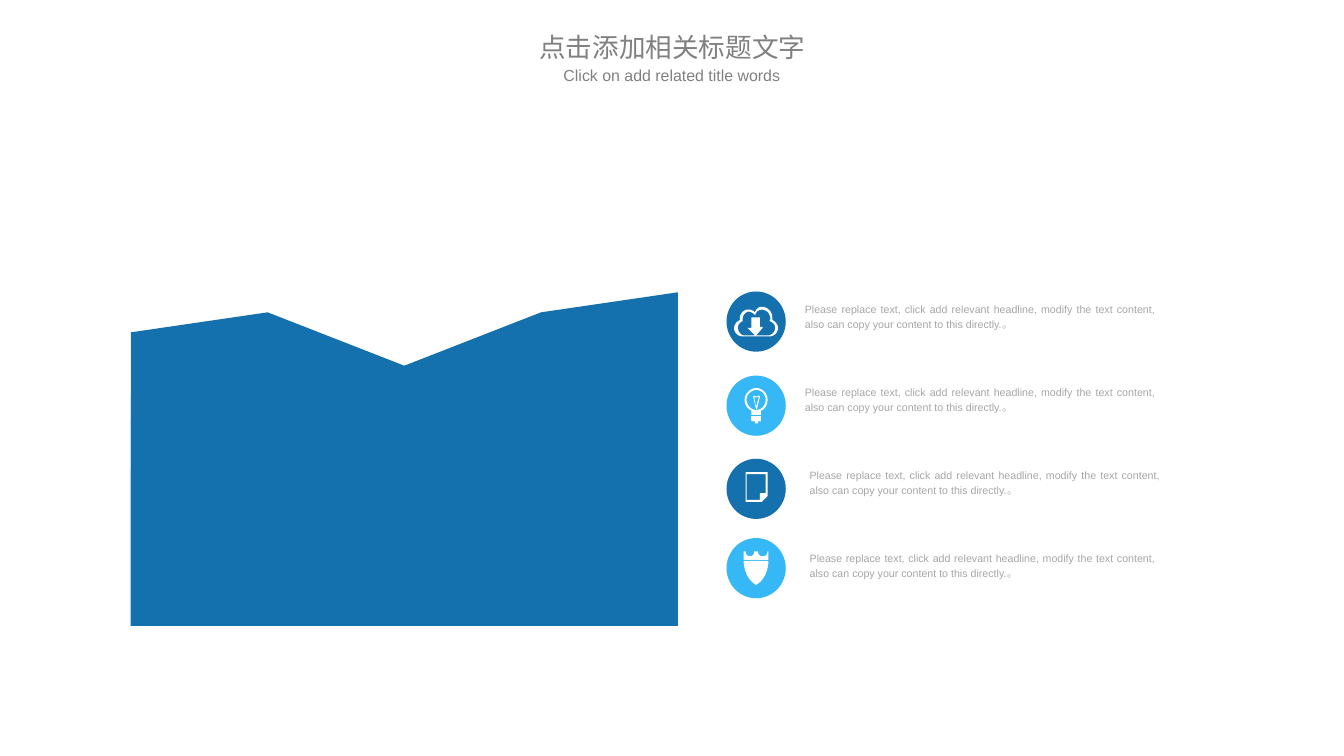
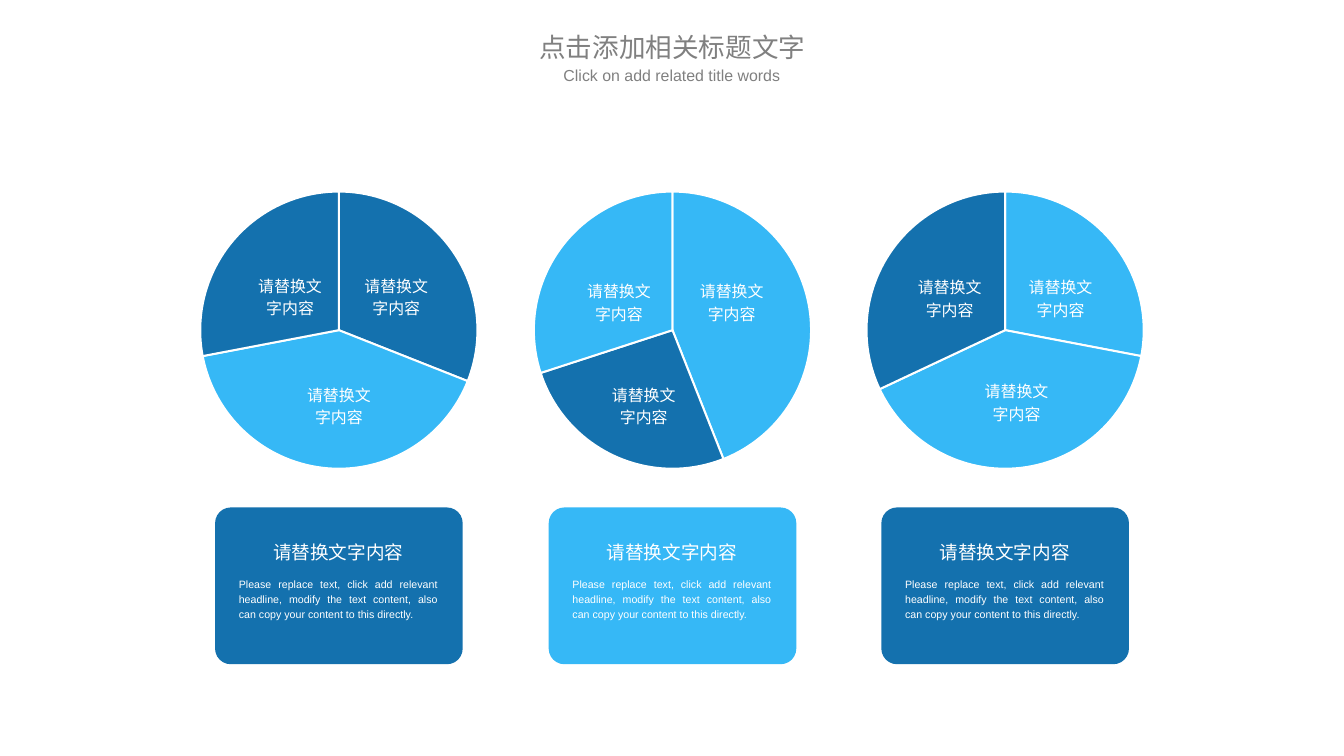
from lxml import etree
from pptx import Presentation
from pptx.chart.data import CategoryChartData
from pptx.dml.color import RGBColor
from pptx.enum.chart import XL_CHART_TYPE
from pptx.enum.shapes import MSO_SHAPE
from pptx.enum.text import MSO_ANCHOR, MSO_AUTO_SIZE, PP_ALIGN
from pptx.oxml.ns import qn
from pptx.util import Pt

PX = 9144
SLIDE_SIZE = (1406, 791)
COLORS = {"dark": "1471AE", "light": "36B8F6", "white": "FFFFFF",
          "title": "808080", "body": "A6A6A6", "black": "000000"}
LATIN, CHINESE = "Arial", "Noto Sans CJK SC"

TITLE = "点击添加相关标题文字"
SUBTITLE = "Click on add related title words"
SENTENCE = ("Please replace text, click add relevant headline, modify the text "
            "content, also can copy your content to this directly.")
LABEL = "请替换文字内容"

AREA_BOX = (125, 263, 596, 400)
AREA_SERIES = [
    ("Series 1", [88, 94, 78, 94, 100], "dark"),
    ("Series 2", [69, 56, 62, 66, 88], "light"),
    ("Series 3", [47, 47, 47, 59, 56], "dark"),
    ("Series 4", [62, 38, 38, 28, 34], "light"),
]
FEATURES = [
    (305, "dark", (837, 311, 377, 38)),
    (393, "light", (837, 398, 377, 38)),
    (480, "dark", (842, 485, 377, 38)),
    (563, "light", (842, 572, 372, 38)),
]

CLOUD = [
    [(808, 335), (808, 334, 808, 333, 808, 332), (808, 326, 803, 321, 797, 321),
     (791, 321, 790, 327, 790, 327), (790, 327, 787, 323, 781, 324),
     (777, 325, 774, 329, 774, 333), (774, 335), (771, 336, 768, 340, 768, 343),
     (768, 348, 772, 352, 777, 352), (805, 352), (810, 352, 814, 348, 814, 343),
     (814, 340, 811, 336, 808, 335)],
    [(803, 351), (791, 351), (798, 343), (798, 342), (795, 342), (795, 332),
     (786, 332), (786, 343), (782, 343), (790, 351), (779, 351),
     (775, 351, 772, 347, 772, 343), (772, 340, 774, 337, 777, 336), (777, 334),
     (777, 330, 779, 327, 783, 326), (787, 326, 790, 330, 790, 330),
     (790, 330, 791, 324, 797, 324), (802, 324, 806, 328, 806, 334), (805, 336),
     (809, 337, 811, 340, 811, 343), (811, 347, 808, 351, 803, 351)],
]
PAGE = [
    [(780, 494), (780, 525), (797, 525), (803, 519), (803, 494)],
    [(781, 523), (781, 496), (801, 496), (801, 516), (795, 516), (795, 523)],
]
BULB_GLASS = [
    [(803, 418), (803, 412, 798, 406, 791, 406), (785, 406, 779, 412, 779, 418),
     (779, 424, 782, 428, 787, 430), (786, 430), (786, 434), (796, 434),
     (796, 430), (800, 428, 803, 424, 803, 418)],
    [(791, 429), (786, 429, 781, 424, 781, 418), (781, 413, 786, 408, 791, 408),
     (797, 408, 801, 413, 801, 418), (801, 424, 797, 429, 791, 429)],
]
BULB_THREAD = [[(786, 435), (796, 435), (796, 439), (786, 439)]]
BULB_BASE = [[(786, 441), (790, 441), (790, 443), (793, 443), (793, 441),
              (796, 441), (796, 439), (786, 439)]]
BULB_FILAMENT = [
    [(795, 415), (794, 414), (791, 415), (789, 414), (788, 415), (791, 428), (792, 428)],
    [(791, 426), (789, 415), (791, 416), (794, 415)],
]
SHIELD_BODY = [[(791, 612), (804, 605, 804, 587, 804, 587), (778, 587),
                (778, 587, 778, 605, 791, 612)]]
SHIELD_CROWN = [[(803, 577), (803, 580, 801, 582, 798, 582),
                 (795, 582, 793, 580, 793, 577), (789, 577),
                 (789, 580, 787, 582, 785, 582), (782, 582, 780, 580, 780, 577),
                 (778, 577), (778, 586), (804, 586), (804, 577)]]
ICONS = [CLOUD, PAGE, BULB_GLASS, BULB_THREAD, BULB_BASE, BULB_FILAMENT,
         SHIELD_BODY, SHIELD_CROWN]

PIES = [
    {"left": 170, "values": [31, 41, 28, None], "card": "dark",
     "slices": ["dark", "light", "dark", "light"],
     "labels": [(256, 280), (367, 280), (307, 394)], "label_width": 95},
    {"left": 519, "values": [44, 26, 30, None], "card": "light",
     "slices": ["light", "dark", "light", "light"],
     "labels": [(717, 286), (599, 286), (625, 394)], "label_width": 97},
    {"left": 867, "values": [28, 40, 32, None], "card": "dark",
     "slices": ["light", "light", "dark", "light"],
     "labels": [(946, 282), (1062, 282), (1016, 390)], "label_width": 95},
]


def rgb(name):
    return RGBColor.from_string(COLORS[name])


def scaled(values):
    return [round(value * PX) for value in values]


def apply(target, formats):
    for name, value in formats.items():
        setattr(target, name, value)


def fill_shape(shape, color):
    shape.shadow.inherit = False
    shape.fill.solid()
    shape.fill.fore_color.rgb = rgb(color)
    shape.line.fill.background()


def write(shape, text, size, color, align, insets=(10, 5), font=LATIN,
          frame_formats=None, paragraph_formats=None):
    frame = shape.text_frame
    frame.text = text
    across, down = scaled(insets)
    apply(frame, {"margin_left": across, "margin_right": across,
                  "margin_top": down, "margin_bottom": down, "word_wrap": True,
                  "auto_size": MSO_AUTO_SIZE.SHAPE_TO_FIT_TEXT,
                  **(frame_formats or {})})
    paragraph = frame.paragraphs[0]
    apply(paragraph, {"alignment": align, "line_spacing": 1.2, "space_before": Pt(0),
                      **(paragraph_formats or {})})
    run = paragraph.runs[0]
    apply(run.font, {"size": Pt(size), "name": font, "bold": False})
    run.font.color.rgb = rgb(color)
    east_asian = etree.SubElement(run.font._element, qn("a:ea"))
    east_asian.set("typeface", font)


def add_text(slide, box, *details, **options):
    write(slide.shapes.add_textbox(*scaled(box)), *details, **options)


def add_titled_slide(presentation):
    slide = presentation.slides.add_slide(presentation.slide_layouts[0])
    headings = [
        (slide.shapes.title, (536, 29, 335, 41), TITLE, 20, CHINESE, MSO_ANCHOR.MIDDLE),
        (slide.placeholders[1], (576, 64, 254, 41), SUBTITLE, 12, LATIN, MSO_ANCHOR.TOP),
    ]
    for shape, box, text, size, font, anchor in headings:
        apply(shape, dict(zip(("left", "top", "width", "height"), scaled(box))))
        write(shape, text, size, "title", PP_ALIGN.CENTER, (11, 5), font,
              {"auto_size": MSO_AUTO_SIZE.NONE, "vertical_anchor": anchor},
              {"line_spacing": 1.0, "space_after": Pt(6)})
    return slide


def flatten(contour, steps=8):
    points = [contour[0]]
    for segment in contour[1:]:
        if len(segment) == 2:
            points.append(segment)
            continue
        corners = [points[-1], segment[:2], segment[2:4], segment[4:]]
        for step in range(1, steps + 1):
            t = step / steps
            weights = ((1 - t) ** 3, 3 * t * (1 - t) ** 2, 3 * t * t * (1 - t), t ** 3)
            points.append(tuple(sum(weight * corner[axis] for weight, corner
                                    in zip(weights, corners)) for axis in (0, 1)))
    return [scaled(point) for point in points]


def add_icon(slide, contours):
    first, *others = [flatten(contour) for contour in contours]
    builder = slide.shapes.build_freeform(*first[0], scale=1.0)
    builder.add_line_segments(first[1:], close=True)
    for points in others:
        builder.move_to(*points[0])
        builder.add_line_segments(points[1:], close=True)
    fill_shape(builder.convert_to_shape(), "white")


def add_chart(slide, kind, box, categories, series, size):
    data = CategoryChartData()
    data.categories = categories
    for name, values in series:
        data.add_series(name, values)
    chart = slide.shapes.add_chart(kind, *scaled(box), data).chart
    apply(chart, {"has_legend": False, "has_title": False})
    apply(chart.font, {"size": Pt(size), "name": LATIN})
    chart.font.color.rgb = rgb("black")
    chart.plots[0].vary_by_categories = False
    return chart


def set_plot_layout(chart, **fractions):
    area = chart._chartSpace.chart.plotArea
    for old in area.findall(qn("c:layout")):
        area.remove(old)
    layout = etree.Element(qn("c:layout"))
    manual = etree.SubElement(layout, qn("c:manualLayout"))
    settings = {"layoutTarget": "inner", "xMode": "edge", "yMode": "edge", **fractions}
    for name, value in settings.items():
        etree.SubElement(manual, qn(f"c:{name}")).set("val", str(value))
    area.insert(0, layout)


def build_area_slide(presentation):
    slide = add_titled_slide(presentation)
    chart = add_chart(slide, XL_CHART_TYPE.AREA, AREA_BOX, list("12345"),
                      [(name, values) for name, values, color in AREA_SERIES], 18)
    for axis in (chart.category_axis, chart.value_axis):
        apply(axis, {"visible": False, "has_major_gridlines": False})
    apply(chart.value_axis, {"minimum_scale": 0, "maximum_scale": 110})
    for crossing in chart._chartSpace.iter(qn("c:crossBetween")):
        crossing.set("val", "midCat")
    set_plot_layout(chart, x=0.02, y=0.02, w=0.96, h=0.96)
    for series, (name, values, color) in zip(chart.plots[0].series, AREA_SERIES):
        series.format.fill.solid()
        series.format.fill.fore_color.rgb = rgb(color)
    for top, color, text_box in FEATURES:
        circle = slide.shapes.add_shape(MSO_SHAPE.OVAL, *scaled((760, top, 62, 63)))
        fill_shape(circle, color)
        add_text(slide, text_box, SENTENCE + "。", 8, "body", PP_ALIGN.JUSTIFY,
                 insets=(5, 3))
    for icon in ICONS:
        add_icon(slide, icon)


def build_pie_slide(presentation):
    slide = add_titled_slide(presentation)
    for pie in PIES:
        left = pie["left"]
        chart = add_chart(slide, XL_CHART_TYPE.PIE, (left, 186, 369, 319),
                          list("1234"), [("Series 1", pie["values"])], 10)
        set_plot_layout(chart, x=0.107, y=0.045, w=0.786, h=0.91)
        for index, color in enumerate(pie["slices"]):
            part = chart.plots[0].series[0].points[index].format
            part.fill.solid()
            part.fill.fore_color.rgb = rgb(color)
            part.line.color.rgb = rgb("white")
            part.line.width = Pt(1.5)
        for x, y in pie["labels"]:
            add_text(slide, (x, y, pie["label_width"], 59), LABEL, 12, "white",
                     PP_ALIGN.CENTER)
        card = slide.shapes.add_shape(MSO_SHAPE.ROUNDED_RECTANGLE,
                                      *scaled((left + 55, 531, 259, 164)))
        card.adjustments[0] = 0.1
        fill_shape(card, pie["card"])
        add_text(slide, (left + 70, 597, 228, 57), SENTENCE, 8, "white",
                 PP_ALIGN.JUSTIFY)
        add_text(slide, (left + 105, 556, 158, 36), LABEL, 14, "white",
                 PP_ALIGN.CENTER, frame_formats={"word_wrap": False})


def main():
    presentation = Presentation()
    presentation.slide_width, presentation.slide_height = scaled(SLIDE_SIZE)
    build_area_slide(presentation)
    build_pie_slide(presentation)
    presentation.save("out.pptx")


if __name__ == "__main__":
    main()
